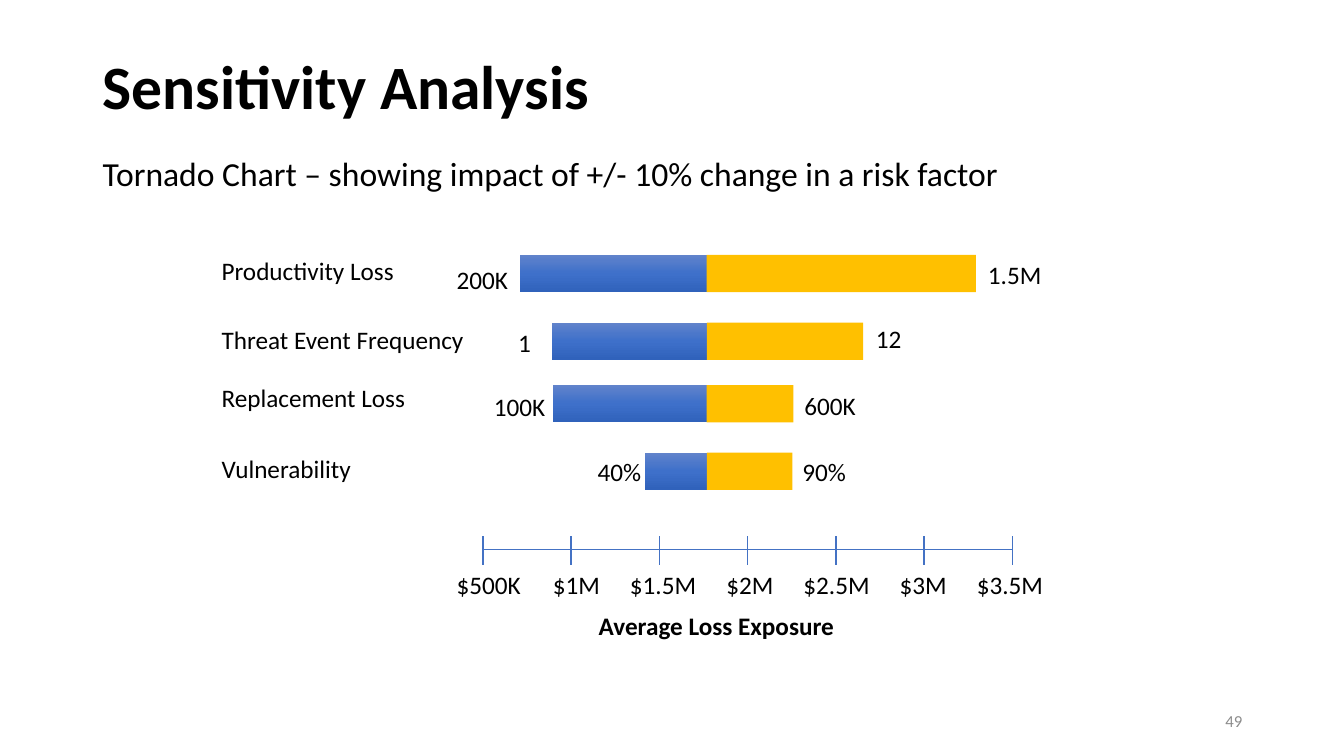
from copy import deepcopy
from dataclasses import dataclass

from lxml.etree import SubElement
from pptx import Presentation
from pptx.dml.color import RGBColor
from pptx.enum.shapes import MSO_CONNECTOR, MSO_SHAPE
from pptx.enum.text import MSO_ANCHOR, MSO_AUTO_SIZE, PP_ALIGN
from pptx.oxml.ns import qn
from pptx.util import Inches, Pt


@dataclass(frozen=True)
class Theme:
    font: str = "Calibri"
    text: str = "000000"
    muted: str = "8C8C8C"
    line: str = "4472C4"
    high: str = "FFC000"
    low: tuple = ("6183CB", "3E70CA", "3062BB")
    title: int = 44
    subtitle: int = 24
    label: int = 18
    number: int = 12


class SlideBuilder:
    def __init__(self, slide, theme):
        self.s, self.t = slide, theme

    def add_text(self, tf, text, size, color=None, bold=False, align=PP_ALIGN.LEFT):
        p = tf.paragraphs[0]
        p.alignment = align
        r = p.add_run()
        r.text = text
        r.font.name, r.font.size, r.font.bold = self.t.font, Pt(size), bold
        r.font.color.rgb = RGBColor.from_string(color or self.t.text)
        return p

    def title(self, text, x, y, w, h):
        sp = self.s.shapes.title
        sp.left, sp.top, sp.width, sp.height = map(Inches, (x, y, w, h))
        tf = sp.text_frame
        tf.vertical_anchor = MSO_ANCHOR.MIDDLE
        self.add_text(tf, text, self.t.title, bold=True).line_spacing = 0.9

    def label(self, text, x, y, w, h=0.4, size=None, bold=False):
        tf = self.s.shapes.add_textbox(*map(Inches, (x, y, w, h))).text_frame
        tf.word_wrap = False
        tf.auto_size = MSO_AUTO_SIZE.SHAPE_TO_FIT_TEXT
        self.add_text(tf, text, size or self.t.label, bold=bold)

    def page_number(self, text, x, y, w, h):
        tf = self.s.shapes.add_textbox(*map(Inches, (x, y, w, h))).text_frame
        tf.word_wrap = True
        tf.vertical_anchor = MSO_ANCHOR.MIDDLE
        self.add_text(tf, text, self.t.number, self.t.muted, align=PP_ALIGN.RIGHT)

    def bar(self, left, right, y, h=0.37):
        sp = self.s.shapes.add_shape(
            MSO_SHAPE.RECTANGLE, *map(Inches, (left, y, right - left, h)))
        sp.shadow.inherit = False
        sp.line.fill.background()
        return sp

    def low_bar(self, left, right, y):
        sp = self.bar(left, right, y)
        sp.fill.gradient()
        sp.fill.gradient_angle = 270
        # A third stop goes between the two that a new gradient has
        first = next(sp.element.iter(qn("a:gs")))
        first.addnext(deepcopy(first))
        for i, (stop, color) in enumerate(zip(sp.fill.gradient_stops, self.t.low)):
            stop.position = i / 2
            stop.color.rgb = RGBColor.from_string(color)

    def high_bar(self, left, right, y):
        sp = self.bar(left, right, y)
        sp.fill.solid()
        sp.fill.fore_color.rgb = RGBColor.from_string(self.t.high)

    def line(self, x1, y1, x2, y2):
        c = self.s.shapes.add_connector(
            MSO_CONNECTOR.STRAIGHT, *map(Inches, (x1, y1, x2, y2)))
        c.line.color.rgb = RGBColor.from_string(self.t.line)
        c.line.width = Pt(1)
        SubElement(c._element.spPr, qn("a:effectLst"))


BASE_X = 7.01
# factor, (y, width); low end, (x, y, width); high end, (x, y, width); bar left, right, y
FACTORS = [
    ("Productivity Loss", (2.48, 1.93), "200K", (4.43, 2.57, 0.72),
     "1.5M", (9.7, 2.52, 0.74), (5.16, 9.68, 2.53)),
    ("Threat Event Frequency", (3.17, 2.63), "1", (5.04, 3.2, 0.33),
     "12", (8.59, 3.16, 0.46), (5.47, 8.56, 3.2)),
    ("Replacement Loss", (3.74, 2.04), "100K", (4.8, 3.83, 0.72),
     "600K", (7.88, 3.82, 0.72), (5.48, 7.87, 3.82)),
    ("Vulnerability", (4.45, 1.5), "40%", (5.83, 4.48, 0.64),
     "90%", (7.86, 4.48, 0.64), (6.4, 7.86, 4.49)),
]
TICKS = ["$500K", "$1M", "$1.5M", "$2M", "$2.5M", "$3M", "$3.5M"]


def main():
    prs = Presentation()
    prs.slide_width, prs.slide_height = Inches(13.33), Inches(7.5)
    theme = Theme()
    b = SlideBuilder(prs.slides.add_slide(prs.slide_layouts[5]), theme)

    # Heading
    b.title("Sensitivity Analysis", 0.92, 0.4, 11.5, 0.98)
    b.label("Tornado Chart – showing impact of +/- 10% change in a risk factor",
            0.92, 1.47, 9.08, 0.5, theme.subtitle)

    # Tornado bars with their labels
    for name, (name_y, name_w), low, low_at, high, high_at, (left, right, y) in FACTORS:
        b.low_bar(left, right, y)
        b.high_bar(BASE_X, right, y)
        b.label(name, 2.1, name_y, name_w)
        b.label(low, *low_at)
        b.label(high, *high_at)

    # Exposure axis
    axis_x, step = 4.79, 0.875
    b.line(axis_x, 5.45, axis_x + step * (len(TICKS) - 1), 5.45)
    for i, text in enumerate(TICKS):
        x = axis_x + step * i
        b.line(x, 5.32, x, 5.61)
        width = 0.86 if len(text) > 3 else 0.67
        b.label(text, 4.86 + 0.86 * i - width / 2, 5.6, width)
    b.label("Average Loss Exposure", 5.84, 6.01, 2.56, bold=True)

    # Footer
    b.page_number("49", 9.42, 6.95, 3, 0.4)
    prs.save("out.pptx")


if __name__ == "__main__":
    main()
